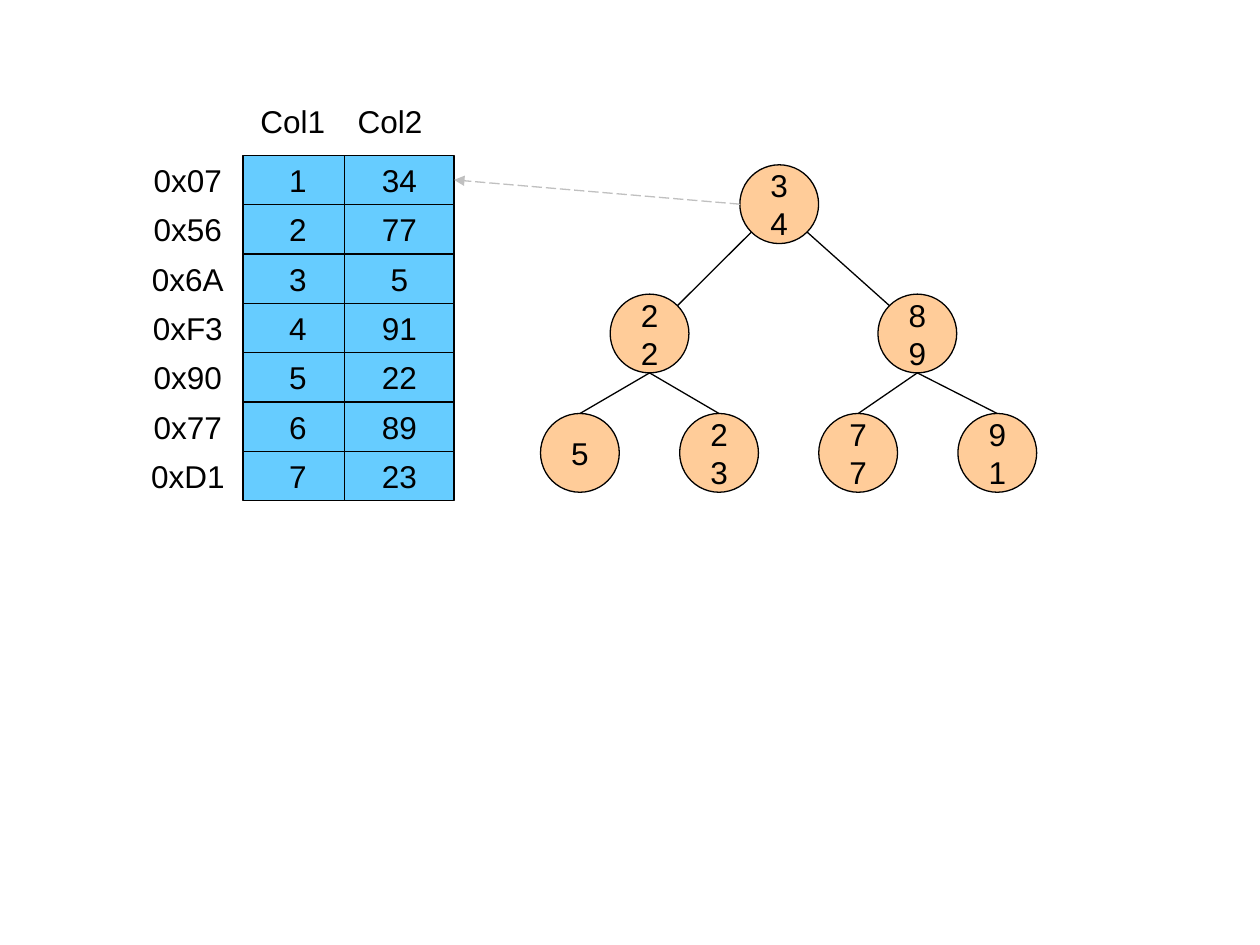
from math import sqrt
from pptx import Presentation
from pptx.dml.color import RGBColor
from pptx.enum.dml import MSO_LINE
from pptx.enum.shapes import MSO_CONNECTOR as CONN, MSO_SHAPE as SHAPE
from pptx.enum.text import MSO_ANCHOR as ANCHOR, PP_ALIGN as ALIGN
from pptx.oxml.ns import qn
from pptx.util import Pt
from lxml.etree import SubElement

BLACK = RGBColor(0x00, 0x00, 0x00)
GRAY = RGBColor(0xC0, 0xC0, 0xC0)
BLUE = RGBColor(0x66, 0xCC, 0xFF)
PEACH = RGBColor(0xFF, 0xCC, 0x99)


def add_item(x, y, w, h, text, kind=None, fill=None, wrap=False):
    box = [Pt(v) for v in (x, y, w, h)]
    if kind is None:
        sp = s.shapes.add_textbox(*box)
    else:
        sp = s.shapes.add_shape(kind, *box)
        sp.shadow.inherit = False
        sp.fill.solid()
        sp.fill.fore_color.rgb = fill
        sp.line.color.rgb = BLACK
        sp.line.width = Pt(0.75)
    tf = sp.text_frame
    tf.word_wrap = wrap
    tf.vertical_anchor = ANCHOR.MIDDLE
    tf.text = text
    p = tf.paragraphs[0]
    p.alignment = ALIGN.CENTER
    r = p.runs[0]
    r.font.name = "Arial"
    r.font.size = Pt(18)
    r.font.color.rgb = BLACK
    return sp


def add_line(x1, y1, x2, y2, color=BLACK):
    c = s.shapes.add_connector(CONN.STRAIGHT, Pt(x1), Pt(y1), Pt(x2), Pt(y2))
    c.line.color.rgb = color
    c.line.width = Pt(0.75)
    SubElement(c._element.spPr, qn("a:effectLst"))
    return c


prs = Presentation()
prs.slide_width, prs.slide_height = Pt(720), Pt(540)
s = prs.slides.add_slide(prs.slide_layouts[6])

rows = [("0x07", "1", "34"), ("0x56", "2", "77"), ("0x6A", "3", "5"),
        ("0xF3", "4", "91"), ("0x90", "5", "22"), ("0x77", "6", "89"),
        ("0xD1", "7", "23")]
top, row_h, cell_w = 88.7, 28.2, 62.5
cells = {}
for i, (address, col1, col2) in enumerate(rows):
    y = top + i * row_h
    add_item(76.3, y, 62, row_h, address)
    add_item(138.9, y, cell_w, row_h, col1, SHAPE.RECTANGLE, BLUE)
    cells[col2] = add_item(197, y, cell_w, row_h, col2, SHAPE.RECTANGLE, BLUE)

for x, name in ((138.9, "Col1"), (194.4, "Col2")):
    add_item(x, 54.5, 56.9, 28.8, name, wrap=True)

d = 45
radius = d / 2
leaf_y, leaf_x, leaf_gap = 258.8, 331.4, 79.5
nodes = {"34": (445.3, 116.7), "22": (371.2, 190.6), "89": (524.2, 190.6)}
for i, key in enumerate(("5", "23", "77", "91")):
    nodes[key] = (leaf_x + i * leaf_gap, leaf_y)
circles = {key: add_item(x - radius, y - radius, d, d, key, SHAPE.OVAL, PEACH, True)
           for key, (x, y) in nodes.items()}

root_x, root_y = nodes["34"]
diag = radius / sqrt(2)
for parent, side, leaves in (("22", -1, ("5", "23")), ("89", 1, ("77", "91"))):
    x, y = nodes[parent]
    add_line(root_x + side * diag, root_y + diag, x - side * diag, y - diag)
    for leaf in leaves:
        edge = add_line(x, y + radius, nodes[leaf][0], leaf_y - radius)
        edge.end_connect(circles[leaf], 0)

pointer = add_line(root_x - radius, root_y, 259.5, top + row_h / 2, GRAY)
pointer.end_connect(cells["34"], 3)
pointer.line.dash_style = MSO_LINE.LONG_DASH
SubElement(pointer.line._get_or_add_ln(), qn("a:tailEnd"), type="triangle")

prs.save("out.pptx")
